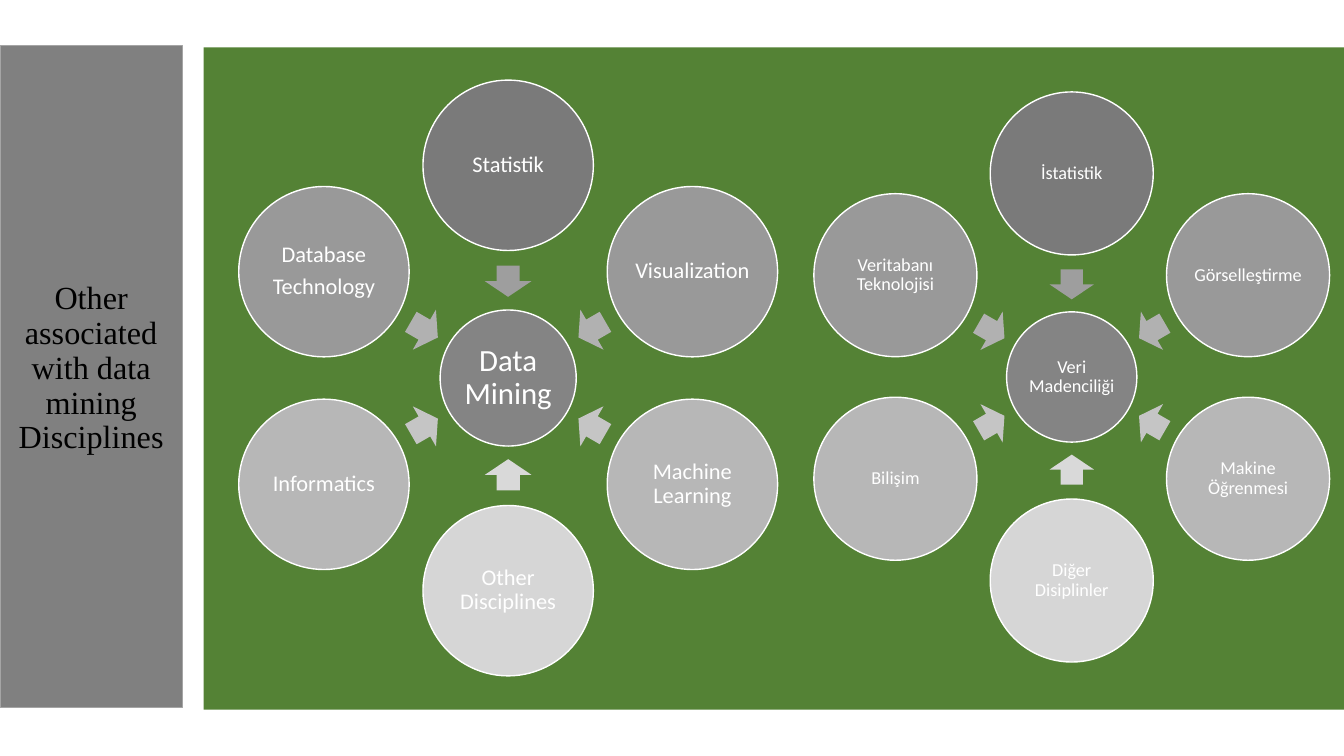
import math

import pptx
import pptx.dml.color
import pptx.enum.shapes
import pptx.enum.text
import pptx.util

Inches, Pt = pptx.util.Inches, pptx.util.Pt
SHAPE = pptx.enum.shapes.MSO_SHAPE
ALIGN = pptx.enum.text.PP_ALIGN
MIDDLE = pptx.enum.text.MSO_ANCHOR.MIDDLE

COLORS = {
    "sidebar": "808080", "sidebar_line": "A5A5A5", "panel": "548235",
    "hub": "848484", "white": "FFFFFF", "black": "000000",
}
# Clockwise from the top
DISC_FILLS = ["7A7A7A", "999999", "B7B7B7", "D6D6D6", "B7B7B7", "999999"]
ARROW_FILLS = ["9E9E9E", "B1B1B1", "C5C5C5", "D9D9D9", "C5C5C5", "B1B1B1"]

# Cluster measures in inches at full scale
RING, ARROW_RING = 2.11, 0.96
DISC, HUB = 1.69, 1.35
ARROW_W, ARROW_H = 0.31, 0.46

CLUSTERS = [
    {"cx": 5.04, "cy": 3.75, "scale": 1, "hub": "Data Mining",
     "hub_size": 22, "size": 16,
     "discs": ["Statistik", "Visualization", "Machine Learning",
               "Other Disciplines", "Informatics", "Database\nTechnology"]},
    {"cx": 10.63, "cy": 3.74, "scale": 0.957, "hub": "Veri Madenciliği",
     "hub_size": 13, "size": 13,
     "discs": ["İstatistik", "Görselleştirme", "Makine Öğrenmesi",
               "Diğer Disiplinler", "Bilişim", "Veritabanı Teknolojisi"]},
]


def rgb(value):
    return pptx.dml.color.RGBColor.from_string(value)


def apply(obj, values):
    for name, value in values.items():
        setattr(obj, name, value)


def paint(sp, fill, line=None):
    sp.fill.solid()
    sp.fill.fore_color.rgb = rgb(fill)
    if line:
        sp.line.color.rgb = rgb(line)
        sp.line.width = Pt(1)
    else:
        sp.line.fill.background()


def write(tf, text, size, font, color, after=0):
    tf.text = text
    for p in tf.paragraphs:
        apply(p, {"alignment": ALIGN.CENTER, "line_spacing": 0.9,
                  "space_before": Pt(0), "space_after": Pt(after)})
        for r in p.runs:
            apply(r.font, {"size": Pt(size), "name": font})
            r.font.color.rgb = rgb(color)


def add_centered(slide, kind, cx, cy, w, h, fill, line=None):
    sp = slide.shapes.add_shape(kind, Inches(cx - w / 2), Inches(cy - h / 2),
                                Inches(w), Inches(h))
    sp.shadow.inherit = False
    paint(sp, fill, line)
    return sp


def add_disc(slide, cx, cy, d, fill, text, size):
    sp = add_centered(slide, SHAPE.OVAL, cx, cy, d, d, fill, COLORS["white"])
    tf = sp.text_frame
    inset = Inches(0.02)
    apply(tf, {"margin_left": inset, "margin_right": inset,
               "margin_top": inset, "margin_bottom": inset,
               "word_wrap": True, "vertical_anchor": MIDDLE})
    write(tf, text, size, "Calibri", COLORS["white"], after=size * 0.35)


def add_sidebar(slide, x, y, w, h):
    sp = slide.shapes.title
    apply(sp, {"left": Inches(x), "top": Inches(y),
               "width": Inches(w), "height": Inches(h)})
    paint(sp, COLORS["sidebar"], COLORS["sidebar_line"])
    tf = sp.text_frame
    apply(tf, {"word_wrap": True, "vertical_anchor": MIDDLE,
               "auto_size": pptx.enum.text.MSO_AUTO_SIZE.NONE,
               "margin_left": Inches(0.1), "margin_right": Inches(0.25),
               "margin_top": Inches(0.05), "margin_bottom": Inches(0.05)})
    tf._txBody.bodyPr.set("vert", "vert270")
    write(tf, "Other associated with data mining Disciplines", 23,
          "Times New Roman", COLORS["black"])


def add_panel(slide, x, y, w, h):
    add_centered(slide, SHAPE.RECTANGLE, x + w / 2, y + h / 2, w, h,
                 COLORS["panel"])


def add_cluster(slide, cx, cy, scale, hub, hub_size, size, discs):
    add_disc(slide, cx, cy, HUB * scale, COLORS["hub"], hub, hub_size)
    for i, text in enumerate(discs):
        angle = math.radians(60 * i)
        dx, dy = math.sin(angle) * scale, -math.cos(angle) * scale
        # Arrow pointing at the hub
        arrow = add_centered(slide, SHAPE.LEFT_ARROW,
                             cx + ARROW_RING * dx, cy + ARROW_RING * dy,
                             ARROW_W * scale, ARROW_H * scale, ARROW_FILLS[i])
        arrow.rotation = (270 + 60 * i) % 360
        # Discipline on the ring
        add_disc(slide, cx + RING * dx, cy + RING * dy, DISC * scale,
                 DISC_FILLS[i], text, size)


def main():
    prs = pptx.Presentation()
    prs.slide_width, prs.slide_height = Inches(13.33), Inches(7.5)
    slide = prs.slides.add_slide(prs.slide_layouts[5])
    add_sidebar(slide, 0, 0.45, 1.81, 6.57)
    add_panel(slide, 2.02, 0.47, 11.31, 6.57)
    for cluster in CLUSTERS:
        add_cluster(slide, **cluster)
    prs.save("out.pptx")


if __name__ == "__main__":
    main()
